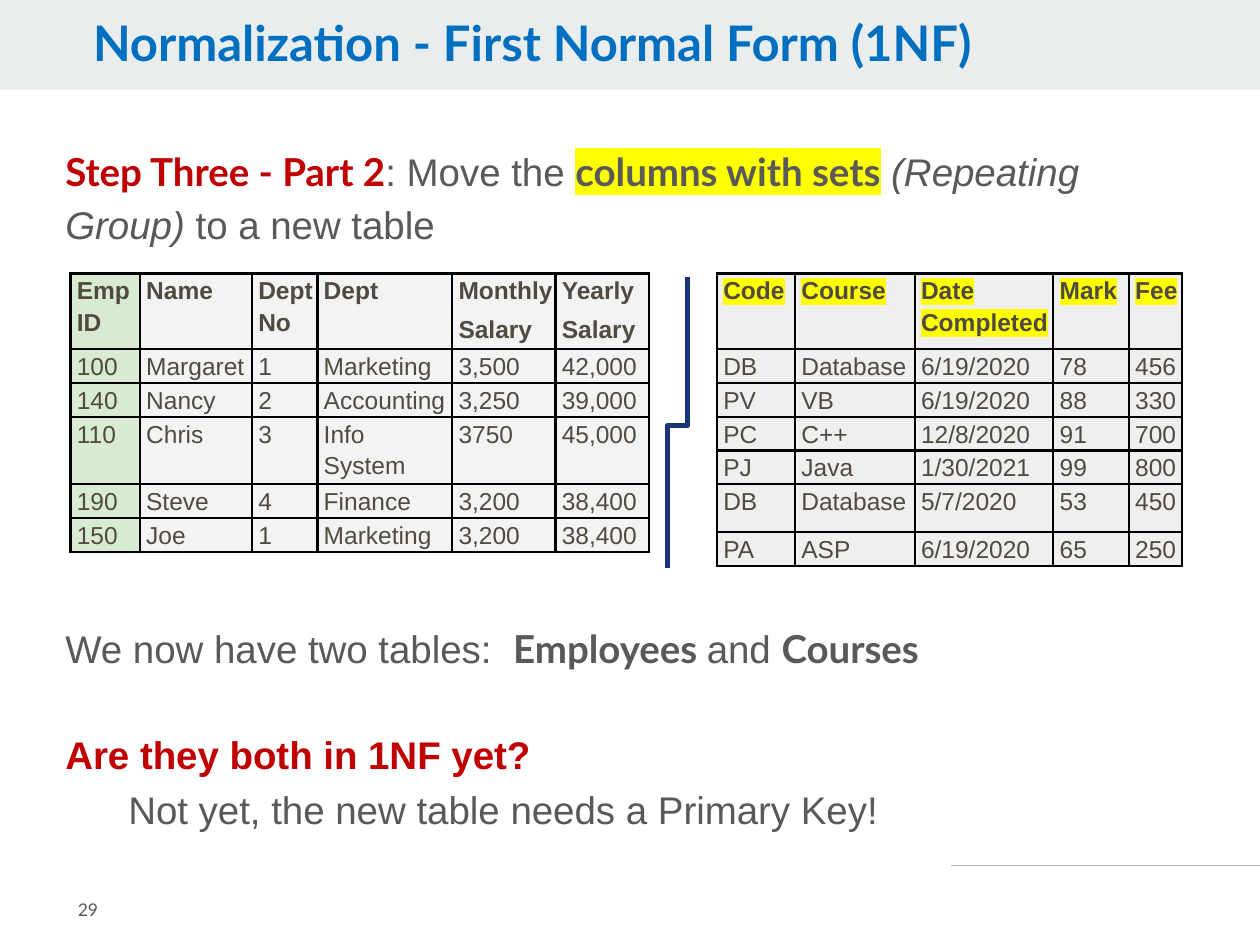
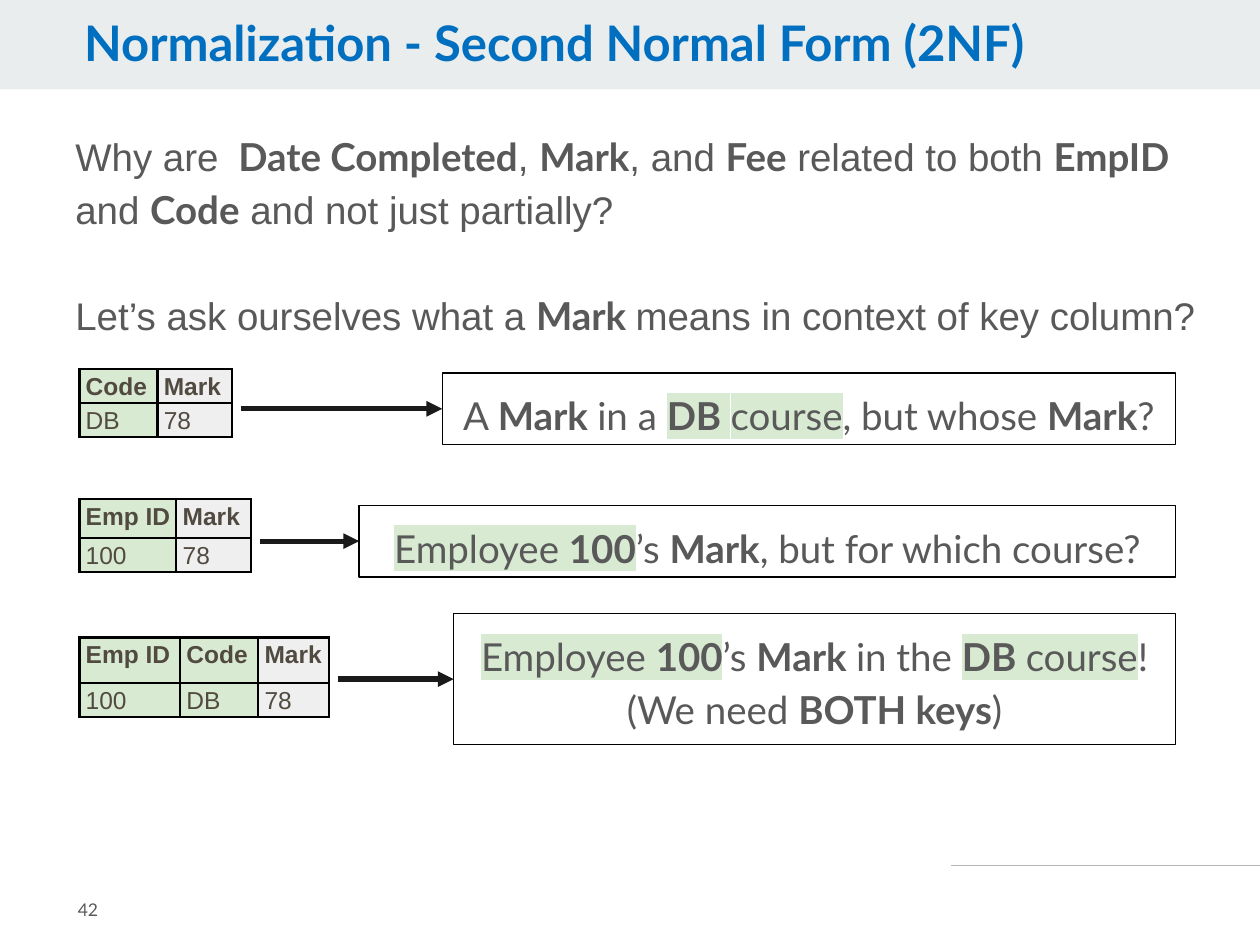
"""Build two slides on database normalization: 1NF tables and 2NF key questions."""
from lxml import etree
from pptx import Presentation
from pptx import util as u
from pptx.dml.color import RGBColor
from pptx.enum import shapes, text
from pptx.oxml.ns import qn

W, H = 10, 7.5
BLUE = RGBColor(0x00, 0x6F, 0xBF)
RED = RGBColor(0xC0, 0x00, 0x00)
GREY = RGBColor(0x59, 0x59, 0x59)
BROWN = RGBColor(0x51, 0x4A, 0x40)
BAND = RGBColor(0xE9, 0xED, 0xEE)
RULE = RGBColor(0xB7, 0xB7, 0xB7)
NAVY = RGBColor(0x19, 0x34, 0x78)
INK = RGBColor(0x1A, 0x1A, 0x1A)
BLACK = RGBColor(0, 0, 0)
YELLOW = RGBColor(0xFF, 0xFF, 0x00)
GREEN = RGBColor(0xD9, 0xEA, 0xD3)
PALE = RGBColor(0xF3, 0xF3, 0xF3)
SILVER = RGBColor(0xEF, 0xEF, 0xEF)

STYLES = {
    "title": dict(size=28, font="Lato", color=BLUE, bold=True),
    "page": dict(size=10, font="Lato"),
    "plain": dict(),
    "italic": dict(italic=True),
    "strong": dict(font="Lato", bold=True),
    "step": dict(font="Lato", color=RED, bold=True),
    "ask": dict(color=RED, bold=True),
    "marked": dict(font="Lato", bold=True, mark=YELLOW),
    "lato": dict(font="Lato"),
    "key": dict(font="Lato", mark=GREEN),
    "strong key": dict(font="Lato", bold=True, mark=GREEN),
    "cell": dict(size=14, color=BROWN),
    "head": dict(size=14, color=BROWN, bold=True),
    "marked head": dict(size=14, color=BROWN, bold=True, mark=YELLOW),
}
LINE = 30.3

FIRST_FORM = dict(
    title="Normalization - First Normal Form (1NF)", title_left=0.64, page="29",
    body_at=(0.42, 1.07, 9.11, 5.25),
    body=[
        dict(runs=[("Step Three - Part 2", "step"), (": Move the ", "plain"),
                   ("columns with sets", "marked"), (" ", "plain"),
                   ("(Repeating Group) ", "italic"), ("to a new table", "plain")]),
        dict(before=7 * LINE,
             runs=[("We now have two tables:  ", "plain"), ("Employees ", "strong"),
                   ("and ", "plain"), ("Courses", "strong")]),
        dict(before=LINE, runs=[("Are they both in 1NF yet?", "ask")]),
        dict(before=1, indent=0.5,
             runs=[("Not yet, the new table needs a Primary Key!", "plain")]),
    ],
)
EMPLOYEES = dict(
    at=(0.56, 2.17), cols=(0.55, 0.89, 0.52, 1.07, 0.82, 0.74),
    heights=(0.6, 0.21, 0.21, 0.38, 0.21, 0.21), keys=1, fill=PALE,
    rows=[
        ("Emp ID", "Name", "Dept No", "Dept", "Monthly\nSalary", "Yearly\nSalary"),
        ("100", "Margaret", "1", "Marketing", "3,500", "42,000"),
        ("140", "Nancy", "2", "Accounting", "3,250", "39,000"),
        ("110", "Chris", "3", "Info System", "3750", "45,000"),
        ("190", "Steve", "4", "Finance", "3,200", "38,400"),
        ("150", "Joe", "1", "Marketing", "3,200", "38,400"),
    ],
)
COURSES = dict(
    at=(5.69, 2.17), cols=(0.62, 0.95, 1.1, 0.6, 0.42),
    heights=(0.6, 0.21, 0.21, 0.21, 0.21, 0.38, 0.21), head="marked head",
    rows=[
        ("Code", "Course", "Date Completed", "Mark", "Fee"),
        ("DB", "Database", "6/19/2020", "78", "456"),
        ("PV", "VB", "6/19/2020", "88", "330"),
        ("PC", "C++", "12/8/2020", "91", "700"),
        ("PJ", "Java", "1/30/2021", "99", "800"),
        ("DB", "Database", "5/7/2020", "53", "450"),
        ("PA", "ASP", "6/19/2020", "65", "250"),
    ],
)

SECOND_FORM = dict(
    title="Normalization - Second Normal Form (2NF)", title_left=0.57, page="42",
    body_at=(0.5, 0.95, 9.25, 1.86),
    body=[
        dict(runs=[("Why are ", "plain"), (" Date Completed", "strong"), (", ", "plain"),
                   ("Mark", "strong"), (", and ", "plain"), ("Fee", "strong"),
                   (" related to both ", "plain"), ("EmpID ", "strong"), ("and ", "plain"),
                   ("Code", "strong"), (" and not just partially?", "plain")]),
        dict(before=LINE,
             runs=[("Let’s ask ourselves what a ", "plain"), ("Mark ", "strong"),
                   ("means in context of key column?", "plain")]),
    ],
)
TABLE_LEFT, BOX_RIGHT, ARROW_GAP = 0.63, 9.33, 0.07
QUESTIONS = [
    dict(top=2.93, cols=(0.62, 0.59), heights=(0.22, 0.11), keys=1,
         rows=[("Code", "Mark"), ("DB", "78")], box=(3.51, 2.96, 0.57),
         answer=[[("A ", "lato"), ("Mark ", "strong"), ("in a ", "lato"),
                  ("DB ", "strong key"), ("course", "key"), (", but whose ", "lato"),
                  ("Mark", "strong"), ("?", "lato")]]),
    dict(top=3.96, cols=(0.77, 0.59), heights=(0.31, 0.16), keys=1,
         rows=[("Emp ID", "Mark"), ("100", "78")], box=(2.85, 4.01, 0.57),
         answer=[[("Employee ", "key"), ("100", "strong key"), ("’s ", "lato"),
                  ("Mark", "strong"), (", but for which course?", "lato")]]),
    dict(top=5.06, cols=(0.8, 0.62, 0.56), heights=(0.36, 0.19), keys=2,
         rows=[("Emp ID", "Code", "Mark"), ("100", "DB", "78")], box=(3.6, 4.87, 1.04),
         answer=[[("Employee ", "key"), ("100", "strong key"), ("’s ", "lato"),
                  ("Mark ", "strong"), ("in the ", "lato"), ("DB ", "strong key"),
                  ("course", "key"), ("!", "lato")],
                 [("(We need ", "lato"), ("BOTH keys", "strong"), (")", "lato")]]),
]


def inches(*values):
    return [u.Inches(v) for v in values]


def add_run(p, words, style):
    look = STYLES[style]
    r = p.add_run()
    r.text = words
    r.font.size = u.Pt(look.get("size", 22))
    r.font.bold = look.get("bold", False)
    r.font.italic = look.get("italic", False)
    r.font.color.rgb = look.get("color", GREY)
    if "mark" in look:
        mark = etree.Element(qn("a:highlight"))
        etree.SubElement(mark, qn("a:srgbClr"), val=str(look["mark"]))
        r.font._element.find(qn("a:solidFill")).addnext(mark)
    r.font.name = look.get("font", "Arial")


def write(tf, paragraphs, spacing=1.15, align=text.PP_ALIGN.LEFT):
    for i, item in enumerate(paragraphs):
        p = tf.paragraphs[0] if i == 0 else tf.add_paragraph()
        p.alignment = align
        p.line_spacing = spacing
        p.space_before = u.Pt(item.get("before", 0))
        if "indent" in item:
            p._p.get_or_add_pPr().set("indent", str(u.Inches(item["indent"])))
        for words, style in item["runs"]:
            add_run(p, words, style)


def set_frame(tf, inset, anchor=text.MSO_ANCHOR.TOP):
    tf.word_wrap = True
    tf.vertical_anchor = anchor
    tf.margin_left = tf.margin_right = u.Inches(0.1)
    tf.margin_top = tf.margin_bottom = u.Inches(inset)


def add_text(s, at, paragraphs, spacing=1.15, inset=0.05, anchor=text.MSO_ANCHOR.TOP):
    tf = s.shapes.add_textbox(*inches(*at)).text_frame
    set_frame(tf, inset, anchor)
    write(tf, paragraphs, spacing)


def add_line(s, start, end, color, width, kind=shapes.MSO_CONNECTOR.STRAIGHT):
    c = s.shapes.add_connector(kind, *inches(*start, *end))
    c.line.color.rgb = color
    c.line.width = u.Pt(width)
    etree.SubElement(c._element.spPr, qn("a:effectLst"))
    return c


def add_divider(s):
    c = add_line(s, (4.22, 3.27), (6.53, 3.43), NAVY, 3, shapes.MSO_CONNECTOR.ELBOW)
    sp_pr = c._element.spPr
    sp_pr.find(qn("a:xfrm")).set("rot", str(90 * 60000))
    guides = sp_pr.find(qn("a:prstGeom")).find(qn("a:avLst"))
    etree.SubElement(guides, qn("a:gd"), name="adj1", fmla="val 51300")


def add_borders(cell):
    tc_pr = cell._tc.get_or_add_tcPr()
    for side in ("lnL", "lnR", "lnT", "lnB"):
        ln = etree.SubElement(tc_pr, qn("a:" + side), w=str(u.Pt(1.5)))
        fill = etree.SubElement(ln, qn("a:solidFill"))
        etree.SubElement(fill, qn("a:srgbClr"), val=str(BLACK))


def add_grid(s, at, cols, heights, rows, keys=0, fill=SILVER, head="head"):
    size = inches(*at, sum(cols), sum(heights))
    table = s.shapes.add_table(len(rows), len(cols), *size).table
    table.first_row = table.horz_banding = False
    for column, width in zip(table.columns, cols):
        column.width = u.Inches(width)
    for i, (row, height) in enumerate(zip(rows, heights)):
        table.rows[i].height = u.Inches(height)
        for j, words in enumerate(row):
            cell = table.cell(i, j)
            add_borders(cell)
            cell.fill.solid()
            cell.fill.fore_color.rgb = GREEN if j < keys else fill
            cell.margin_left = u.Inches(0.05)
            cell.margin_right = cell.margin_top = cell.margin_bottom = 0
            lines = words.split("\n")
            before = 4 if len(lines) > 1 else 3
            style = "cell" if i else head
            write(cell.text_frame, [dict(before=before, runs=[(t, style)]) for t in lines])


def add_box(s, left, top, height, answer):
    sp = s.shapes.add_shape(shapes.MSO_SHAPE.RECTANGLE,
                            *inches(left, top, BOX_RIGHT - left, height))
    sp.shadow.inherit = False
    sp.fill.background()
    sp.line.color.rgb = BLACK
    sp.line.width = u.Pt(0.75)
    set_frame(sp.text_frame, 0.1)
    write(sp.text_frame, [dict(runs=runs) for runs in answer], align=text.PP_ALIGN.CENTER)
    return sp


def add_question(s, top, cols, heights, keys, rows, box, answer):
    add_grid(s, (TABLE_LEFT, top), cols, heights, rows, keys)
    sp = add_box(s, *box, answer)
    left, box_top, height = box
    middle = box_top + height / 2
    start = TABLE_LEFT + sum(cols) + ARROW_GAP
    c = add_line(s, (start, middle), (left, middle), INK, 3)
    c.end_connect(sp, 1)
    etree.SubElement(c.line._get_or_add_ln(), qn("a:tailEnd"), type="triangle")


def add_slide(prs, title, title_left, page, body_at, body):
    s = prs.slides.add_slide(prs.slide_layouts[6])
    add_line(s, (7.55, 6.87), (W, 6.87), RULE, 0.75)
    band = s.shapes.add_shape(shapes.MSO_SHAPE.RECTANGLE, *inches(0, 0, W, 0.71))
    band.shadow.inherit = False
    band.fill.solid()
    band.fill.fore_color.rgb = BAND
    band.line.fill.background()
    add_text(s, (title_left, 0.1, 7.88, 0.55), [dict(runs=[(title, "title")])], 0.9)
    add_text(s, body_at, body)
    add_text(s, (0.52, 6.93, 1.23, 0.57), [dict(runs=[(page, "page")])], 1.0, 0.1,
             text.MSO_ANCHOR.MIDDLE)
    return s


def main():
    prs = Presentation()
    prs.slide_width, prs.slide_height = inches(W, H)
    s = add_slide(prs, **FIRST_FORM)
    add_grid(s, **EMPLOYEES)
    add_grid(s, **COURSES)
    add_divider(s)
    s = add_slide(prs, **SECOND_FORM)
    for question in QUESTIONS:
        add_question(s, **question)
    prs.save("out.pptx")


if __name__ == "__main__":
    main()
